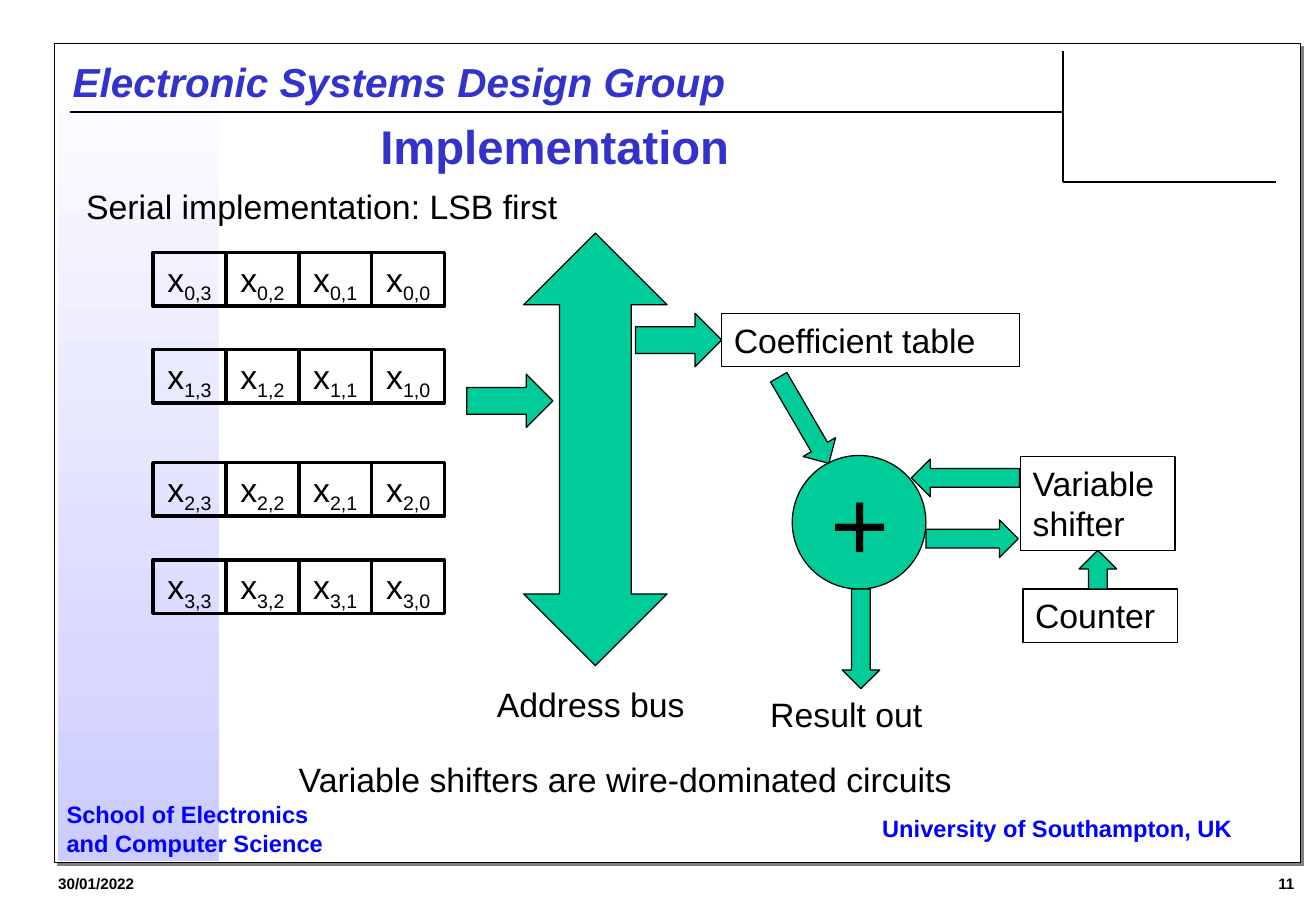
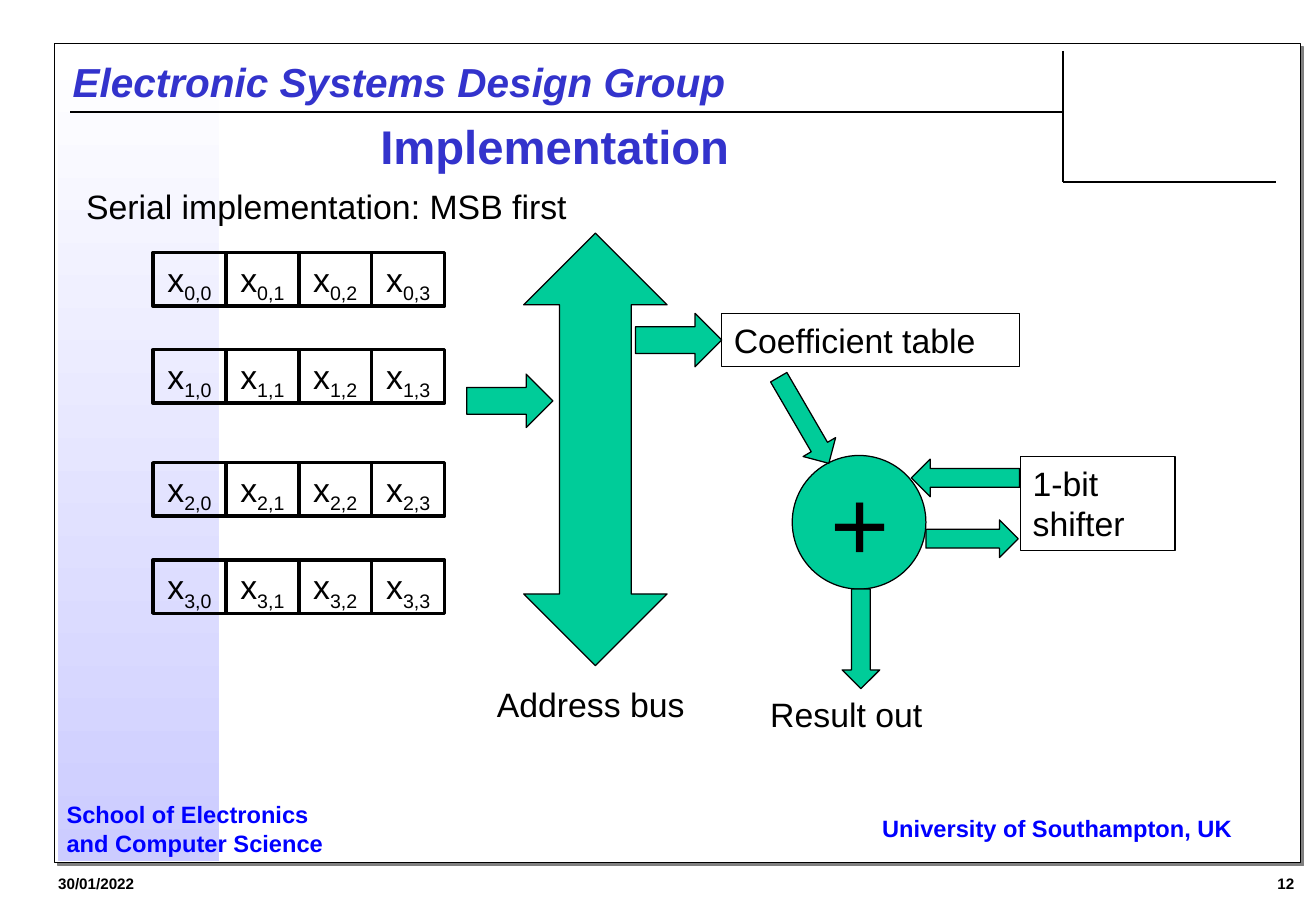
from dataclasses import dataclass

from lxml import etree
from pptx import Presentation
from pptx.dml.color import RGBColor
from pptx.enum.shapes import MSO_CONNECTOR, MSO_SHAPE, PP_PLACEHOLDER
from pptx.enum.text import MSO_ANCHOR, PP_ALIGN
from pptx.oxml import parse_xml
from pptx.oxml.ns import nsdecls, qn
from pptx.util import Inches, Pt

LEFT, CENTER, RIGHT = PP_ALIGN.LEFT, PP_ALIGN.CENTER, PP_ALIGN.RIGHT
TOP, MIDDLE = MSO_ANCHOR.TOP, MSO_ANCHOR.MIDDLE
RECTANGLE, OVAL = MSO_SHAPE.RECTANGLE, MSO_SHAPE.OVAL
RIGHT_ARROW, LEFT_ARROW = MSO_SHAPE.RIGHT_ARROW, MSO_SHAPE.LEFT_ARROW
UP_ARROW, DOWN_ARROW = MSO_SHAPE.UP_ARROW, MSO_SHAPE.DOWN_ARROW
UP_DOWN_ARROW = MSO_SHAPE.UP_DOWN_ARROW
STRAIGHT = MSO_CONNECTOR.STRAIGHT
TITLE = PP_PLACEHOLDER.TITLE


@dataclass(frozen=True)
class Theme:
    font: str = "Arial"
    white: str = "FFFFFF"
    ink: str = "000000"
    heading: str = "3333CC"
    footer: str = "0000FF"
    band: str = "CCCCFF"
    shadow: str = "808080"
    arrow: str = "00CC99"
    thin: float = 0.75
    rule: float = 1.25
    thick: float = 2
    title_size: int = 28
    group_size: int = 24
    body_size: int = 20
    footer_size: int = 14
    small_size: int = 9
    plus_size: int = 60


THEME = Theme()
BODY = {"size": THEME.body_size}
HEADING = {"size": THEME.title_size, "color": THEME.heading, "bold": True}
GROUP = {"size": THEME.group_size, "color": THEME.heading, "bold": True, "italic": True}
FOOTER = {"size": THEME.footer_size, "color": THEME.footer, "bold": True}
SMALL = {"size": THEME.small_size, "bold": True}


def inches(*lengths):
    return [Inches(length) for length in lengths]


def set_attributes(target, values):
    for name, value in values.items():
        setattr(target, name, value)


def format_font(font, size, color=THEME.ink, bold=False, italic=False):
    set_attributes(font, {"name": THEME.font, "size": Pt(size), "bold": bold, "italic": italic})
    font.color.rgb = RGBColor.from_string(color)


def write_text(shape, lines, style, alignment=LEFT, anchor=TOP, wrap=True):
    frame = shape.text_frame
    set_attributes(frame, {"word_wrap": wrap, "vertical_anchor": anchor})
    for index, line in enumerate(lines):
        paragraph = frame.add_paragraph() if index else frame.paragraphs[0]
        paragraph.alignment = alignment
        run = paragraph.add_run()
        run.text = line
        format_font(run.font, **style)


def add_label(slide, box, lines, style=BODY, alignment=LEFT, wrap=True):
    label = slide.shapes.add_textbox(*inches(*box))
    write_text(label, lines, style, alignment, wrap=wrap)
    return label


def add_block(slide, kind, box, fill=None, line_width=THEME.thin):
    block = slide.shapes.add_shape(kind, *inches(*box))
    block.shadow.inherit = False
    if fill:
        block.fill.solid()
        block.fill.fore_color.rgb = RGBColor.from_string(fill)
    else:
        block.fill.background()
    if line_width:
        block.line.width = Pt(line_width)
        block.line.color.rgb = RGBColor.from_string(THEME.ink)
    else:
        block.line.fill.background()
    return block


def add_rule(slide, start, end):
    rule = slide.shapes.add_connector(STRAIGHT, *inches(*start, *end))
    rule.line.width = Pt(THEME.rule)
    rule.line.color.rgb = RGBColor.from_string(THEME.ink)
    etree.SubElement(rule.element.spPr, qn("a:effectLst"))
    return rule


def add_frame(slide, left, top, width, height):
    frame = add_block(slide, RECTANGLE, (left, top, width, height), THEME.white)
    effects = frame.element.spPr.find(qn("a:effectLst"))
    effects.append(parse_xml(
        f'<a:outerShdw {nsdecls("a")} dist="35921" dir="2700000" algn="ctr">'
        f'<a:srgbClr val="{THEME.shadow}"/></a:outerShdw>'))
    band = add_block(slide, RECTANGLE, (left + 0.03, top + 0.03, 1.32, height - 0.04), line_width=0)
    band.fill.gradient()
    band.fill.gradient_angle = 270
    for stop, color, position in zip(band.fill.gradient_stops, (THEME.white, THEME.band), (0, 1)):
        stop.color.rgb = RGBColor.from_string(color)
        stop.position = position
    return [frame, band]


def add_header(slide, left, top):
    corner_x, corner_y = left + 8.3, top + 1.14
    rule_y = top + 0.56
    return [
        add_label(slide, (left + 0.05, top + 0.06, 5.57, 0.5),
                  ["Electronic Systems Design Group"], GROUP, wrap=False),
        add_rule(slide, (left + 0.13, rule_y), (corner_x, rule_y)),
        add_rule(slide, (corner_x, top + 0.06), (corner_x, corner_y)),
        add_rule(slide, (corner_x, corner_y), (left + 10.05, corner_y)),
    ]


def add_footer(slide, left, top):
    return [
        add_label(slide, (left + 6.25, top + 0.11, 3.54, 0.33),
                  ["University of Southampton, UK"], FOOTER, RIGHT),
        add_label(slide, (left, top, 2.74, 0.57),
                  ["School of Electronics", "and Computer Science"], FOOTER),
    ]


def build_layout(layout, slide):
    for placeholder in list(layout.placeholders):
        if placeholder.placeholder_format.type != TITLE:
            layout.shapes.element.remove(placeholder.element)
    parts = add_frame(slide, 0.45, 0.36, 10.25, 6.74)
    parts += add_header(slide, 0.45, 0.36)
    parts += add_footer(slide, 0.45, 6.54)
    for part in parts:
        layout.shapes.element.append(part.element)


def add_title(slide, text, left, top, width, height):
    title = slide.shapes.title
    position = dict(zip(("left", "top", "width", "height"), inches(left, top, width, height)))
    set_attributes(title, position)
    write_text(title, [text], HEADING, CENTER, MIDDLE)


def add_page_marks(slide, number, top):
    add_label(slide, (0.38, top, 2.12, 0.26), ["30/01/2022"], SMALL)
    add_label(slide, (8.78, top, 1.97, 0.26), [str(number)], SMALL, RIGHT)


def add_registers(slide, left, top, bits):
    cell_width, cell_height = 0.6, 0.44
    for row, offset in enumerate((0, 0.8, 1.73, 2.53)):
        for column, bit in enumerate(bits):
            box = (left + column * cell_width, top + offset, cell_width, cell_height)
            cell = add_block(slide, RECTANGLE, box, line_width=THEME.thick)
            write_text(cell, ["x"], BODY, CENTER, wrap=False)
            index = cell.text_frame.paragraphs[0].add_run()
            index.text = f"{row},{bit}"
            format_font(index.font, **BODY)
            index.font._element.set("baseline", "-25000")


def add_arrow(slide, kind, box, rotation=0):
    arrow = add_block(slide, kind, box, THEME.arrow)
    arrow.rotation = rotation


def add_box(slide, box, text):
    write_text(add_block(slide, RECTANGLE, box), [text], BODY)


def add_address_bus(slide, left, top):
    add_arrow(slide, UP_DOWN_ARROW, (left + 0.47, top, 1.18, 3.56))
    add_arrow(slide, RIGHT_ARROW, (left, top + 1.16, 0.71, 0.44))
    add_arrow(slide, RIGHT_ARROW, (left + 1.39, top + 0.66, 0.71, 0.44))
    add_label(slide, (left + 0.15, top + 3.66, 1.84, 0.44), ["Address bus"])


def add_accumulator(slide, left, top, shifter, has_counter):
    add_box(slide, (left, top, 2.45, 0.44), "Coefficient table")
    add_block(slide, OVAL, (left + 0.58, top + 1.17, 1.1, 1.1), THEME.arrow)
    add_label(slide, (left + 0.74, top + 1.16, 0.79, 1.11), ["+"],
              {"size": THEME.plus_size}, CENTER)
    add_arrow(slide, DOWN_ARROW, (left + 0.52, top + 0.47, 0.31, 0.82), 329.8)
    add_arrow(slide, RIGHT_ARROW, (left + 1.68, top + 1.7, 0.76, 0.31))
    add_arrow(slide, LEFT_ARROW, (left + 1.56, top + 1.2, 0.89, 0.31))
    add_box(slide, (left + 2.46, top + 1.18, 1.27, 0.77), shifter)
    if has_counter:
        add_box(slide, (left + 2.48, top + 2.27, 1.27, 0.44), "Counter")
        add_arrow(slide, UP_ARROW, (left + 2.94, top + 1.95, 0.31, 0.32))
    add_arrow(slide, DOWN_ARROW, (left + 0.99, top + 2.27, 0.31, 0.82))
    add_label(slide, (left + 0.3, top + 3.08, 1.84, 0.44), ["Result out"])


def add_implementation(slide, number, order, bits, shifter, has_counter=False, remark=None):
    add_page_marks(slide, number, 7.15)
    add_title(slide, "Implementation", 0.48, 0.7, 8.17, 1)
    add_label(slide, (0.61, 1.48, 4.33, 0.44), [f"Serial implementation: {order} first"])
    add_registers(slide, 1.26, 2.08, bits)
    add_address_bus(slide, 3.84, 1.92)
    add_accumulator(slide, 5.94, 2.58, shifter, has_counter)
    if remark:
        add_label(slide, (2.36, 6.2, 6.69, 0.44), [remark])


def main():
    presentation = Presentation()
    set_attributes(presentation, {"slide_width": Inches(10.83), "slide_height": Inches(7.5)})
    layout = presentation.slide_layouts[5]
    lsb_slide, msb_slide = [presentation.slides.add_slide(layout) for _ in range(2)]
    build_layout(layout, lsb_slide)
    add_implementation(lsb_slide, 11, "LSB", (3, 2, 1, 0), "Variable shifter", True,
                       "Variable shifters are wire-dominated circuits")
    add_implementation(msb_slide, 12, "MSB", (0, 1, 2, 3), "1-bit shifter")
    presentation.save("out.pptx")


if __name__ == "__main__":
    main()
